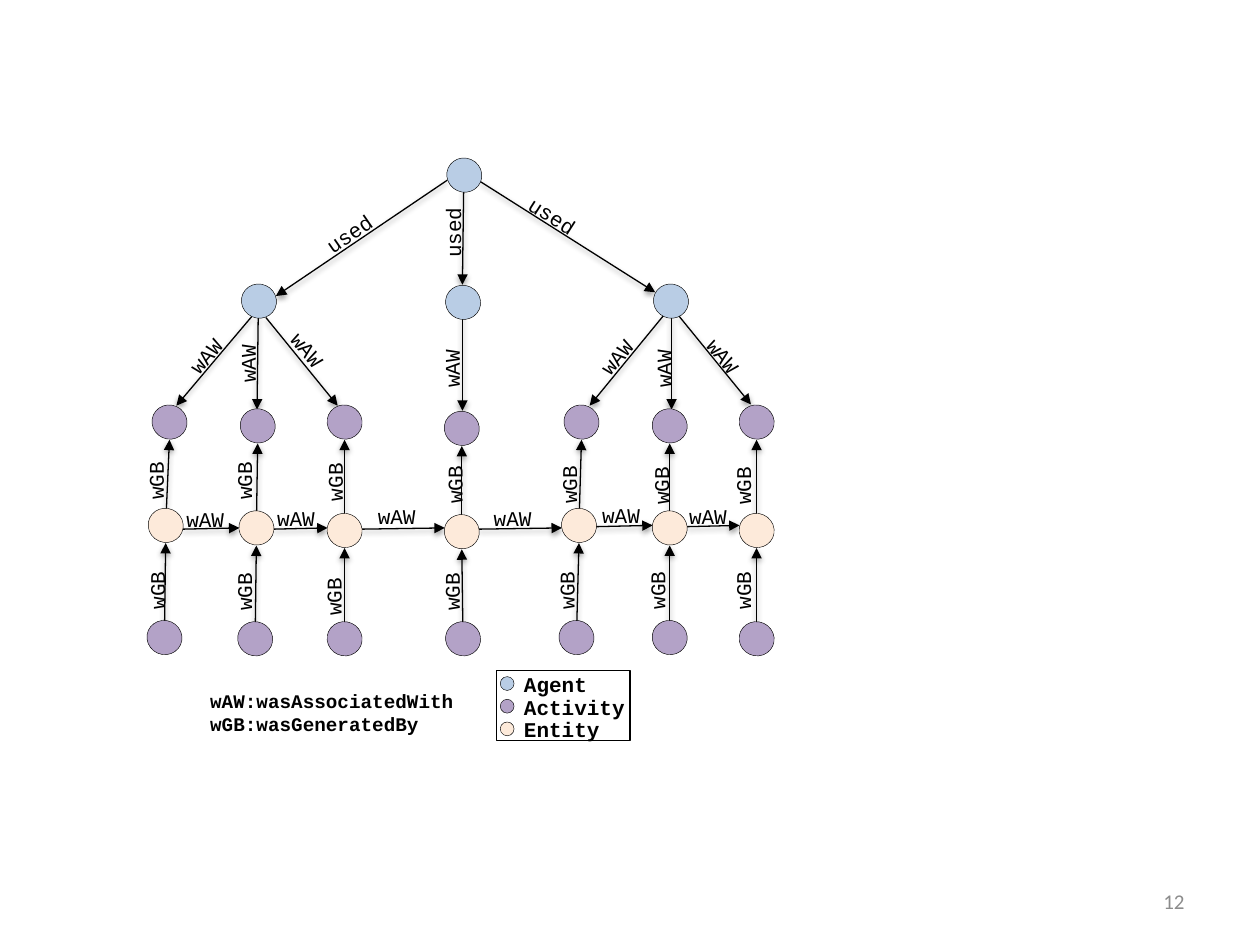
from dataclasses import dataclass
from itertools import pairwise

from pptx import Presentation
from pptx.dml.color import RGBColor
from pptx.enum.shapes import MSO_CONNECTOR, MSO_SHAPE
from pptx.enum.text import MSO_ANCHOR, MSO_AUTO_SIZE, PP_ALIGN
from pptx.oxml import parse_xml
from pptx.oxml.ns import nsdecls
from pptx.util import Inches, Pt


@dataclass(frozen=True)
class Theme:
    agent: str = "B9CDE5"
    activity: str = "B3A2C7"
    entity: str = "FDEADA"
    ink: str = "000000"
    paper: str = "FFFFFF"
    muted: str = "8C8C8C"
    mono: str = "Courier New"
    sans: str = "Calibri"
    body: float = 12
    small: float = 11
    outline: float = 0.25
    rule: float = 0.75


@dataclass(frozen=True)
class Box:
    """A region divided into columns and rows."""
    left: float
    top: float
    width: float
    height: float
    cols: int
    rows: int

    def x(self, col):
        return Inches(self.left + self.width * col / self.cols)

    def y(self, row):
        return Inches(self.top + self.height * row / self.rows)

    def w(self, cols):
        return Inches(self.width * cols / self.cols)

    def h(self, rows):
        return Inches(self.height * rows / self.rows)


T = Theme()

# Graph columns, left to right: (column, row) of each node centre
ACTIVITIES = [(3.45, 23.5), (10.45, 23.8), (17.35, 23.5), (26.65, 24),
              (36.15, 23.5), (43.15, 23.8), (50.05, 23.5)]
ENTITIES = [(3.15, 31.7), (10.35, 31.9), (17.35, 32.1), (26.65, 32.2),
            (35.95, 31.7), (43.15, 31.9), (50.05, 32.1)]
SOURCES = [(3.05, 40.6), (10.25, 40.7), (17.35, 40.7), (26.75, 40.7),
           (35.75, 40.6), (43.15, 40.6), (50.05, 40.7)]
AGENTS = [(26.85, 3.9), (10.55, 13.9), (26.75, 14), (43.25, 13.9)]

# Agent arrows: from, to, label, label centre, label angle
FANS = [
    ((25.5, 4.3), (11.9, 13.5), "used", (17.75, 8.5), 325.3),
    ((26.8, 5), (26.7, 12.6), "used", (25.95, 8.4), 270),
    ((28.1, 4.4), (42, 13.2), "used", (33.9, 7.15), 32.5),
    ((10, 15.1), (4, 22.2), "wAW", (6.35, 18.2), 310.6),
    ((10.5, 14.9), (10.4, 22.5), "wAW", (9.65, 18.8), 270),
    ((11.1, 15.2), (16.8, 22.2), "wAW", (14.45, 17.8), 51.3),
    ((26.7, 15), (26.7, 22.6), "wAW", (25.85, 19.2), 270),
    ((42.7, 15), (36.8, 22.2), "wAW", (38.95, 18.3), 310.1),
    ((43.3, 14.9), (43.3, 22.5), "wAW", (42.65, 19.2), 270),
    ((43.9, 15.1), (49.6, 22.1), "wAW", (47.45, 18.3), 52.3),
]
UPPER_LABELS = [(2.35, 28.1), (9.35, 28.1), (16.55, 28.2), (26.05, 28.4),
                (35.15, 28.4), (42.45, 28.5), (48.95, 28.5)]
LOWER_LABELS = [(2.45, 36.8), (9.35, 36.9), (16.45, 37.3), (25.85, 36.9),
                (34.95, 36.8), (42.15, 36.8), (48.95, 36.8)]
CHAIN_LABELS = [(6.35, 31.2), (13.55, 31.1), (21.55, 31), (30.75, 31.1),
                (39.35, 30.9), (46.25, 31)]
CHAIN_ROWS = [32, 32, 32, 32, 31.8, 31.8]
NODE_W, NODE_H = 2.7, 2.8
LABEL_WIDTHS = {"used": 6.1, "wAW": 5.1, "wGB": 5.1}


def rgb(color):
    return RGBColor.from_string(color)


def add_text(s, x, y, w, h, lines, size=T.body, font=T.mono, color=T.ink,
             bold=False, wrap=True, align=None):
    sp = s.shapes.add_textbox(x, y, w, h)
    tf = sp.text_frame
    tf.word_wrap = wrap
    tf.auto_size = MSO_AUTO_SIZE.SHAPE_TO_FIT_TEXT
    tf.text = "\n".join(lines)
    for p in tf.paragraphs:
        p.alignment = align
        p.font.name, p.font.size, p.font.bold = font, Pt(size), bold
        p.font.color.rgb = rgb(color)
    return sp


def add_shape(s, kind, x, y, w, h, fill, line):
    sp = s.shapes.add_shape(kind, x, y, w, h)
    sp.shadow.inherit = False
    sp.fill.solid()
    sp.fill.fore_color.rgb = rgb(fill)
    sp.line.color.rgb = rgb(T.ink)
    sp.line.width = Pt(line)
    return sp


def add_arrow(s, box, start, end):
    # The soft shadow comes from the theme's connector style
    c = s.shapes.add_connector(MSO_CONNECTOR.STRAIGHT, box.x(start[0]), box.y(start[1]),
                               box.x(end[0]), box.y(end[1]))
    c.line.color.rgb = rgb(T.ink)
    c.line.width = Pt(T.rule)
    c.line._get_or_add_ln().append(parse_xml(f'<a:tailEnd {nsdecls("a")} type="triangle"/>'))


def add_node(s, box, center, fill):
    col, row = center
    add_shape(s, MSO_SHAPE.OVAL, box.x(col - NODE_W / 2), box.y(row - NODE_H / 2),
              box.w(NODE_W), box.h(NODE_H), fill, T.outline).rotation = 114


def add_label(s, box, text, center, angle=0):
    (col, row), width, height = center, LABEL_WIDTHS[text], 3
    add_text(s, box.x(col - width / 2), box.y(row - height / 2), box.w(width),
             box.h(height), [text], wrap=False).rotation = angle


def draw_graph(s, box):
    # Arrows, behind the nodes
    for start, end, *_ in FANS:
        add_arrow(s, box, start, end)
    for lower, upper in ((SOURCES, ENTITIES), (ENTITIES, ACTIVITIES)):
        for start, (col, row) in zip(lower, upper):
            add_arrow(s, box, start, (col, row + NODE_H / 2))
    for (a, b), row in zip(pairwise(ENTITIES), CHAIN_ROWS):
        add_arrow(s, box, (a[0] + NODE_W / 2, row), (b[0] - NODE_W / 2, row - 0.1))

    # Nodes
    for centers, fill in ((AGENTS, T.agent), (ACTIVITIES, T.activity),
                          (ENTITIES, T.entity), (SOURCES, T.activity)):
        for center in centers:
            add_node(s, box, center, fill)

    # Arrow labels
    for _, _, text, center, angle in FANS:
        add_label(s, box, text, center, angle)
    for center in UPPER_LABELS + LOWER_LABELS:
        add_label(s, box, "wGB", center, 270)
    for center in CHAIN_LABELS:
        add_label(s, box, "wAW", center)


def draw_legend(s, box):
    add_shape(s, MSO_SHAPE.RECTANGLE, box.x(0), box.y(0), box.w(box.cols),
              box.h(box.rows), T.paper, T.rule)
    entries = (("Agent", T.agent), ("Activity", T.activity), ("Entity", T.entity))
    for i, (name, fill) in enumerate(entries):
        row = 18 * i
        add_text(s, box.x(12), box.y(row - 4), box.w(171), box.h(30), [name], bold=True)
        add_shape(s, MSO_SHAPE.OVAL, box.x(3), box.y(row + 5), box.w(11), box.h(11),
                  fill, T.outline)


def draw_abbreviations(s, box):
    add_text(s, box.x(0), box.y(0), box.w(1), box.h(1),
             ["wAW:wasAssociatedWith", "wGB:wasGeneratedBy"], size=T.small, bold=True)


def draw_page_number(s, box):
    sp = add_text(s, box.x(0), box.y(0), box.w(1), box.h(1), ["12"], font=T.sans,
                  color=T.muted, align=PP_ALIGN.RIGHT)
    sp.text_frame.auto_size = MSO_AUTO_SIZE.NONE
    sp.text_frame.vertical_anchor = MSO_ANCHOR.MIDDLE


def main():
    prs = Presentation()
    prs.slide_width, prs.slide_height = Inches(10), Inches(7.5)
    s = prs.slides.add_slide(prs.slide_layouts[6])
    draw_page_number(s, Box(7.17, 6.95, 2.33, 0.4, 1, 1))
    draw_graph(s, Box(1, 1, 5.2, 4.3, 52, 43))
    draw_legend(s, Box(3.94, 5.32, 1.06, 0.56, 106, 56))
    draw_abbreviations(s, Box(1.57, 5.42, 2.8, 0.47, 1, 1))
    prs.save("out.pptx")


if __name__ == "__main__":
    main()
